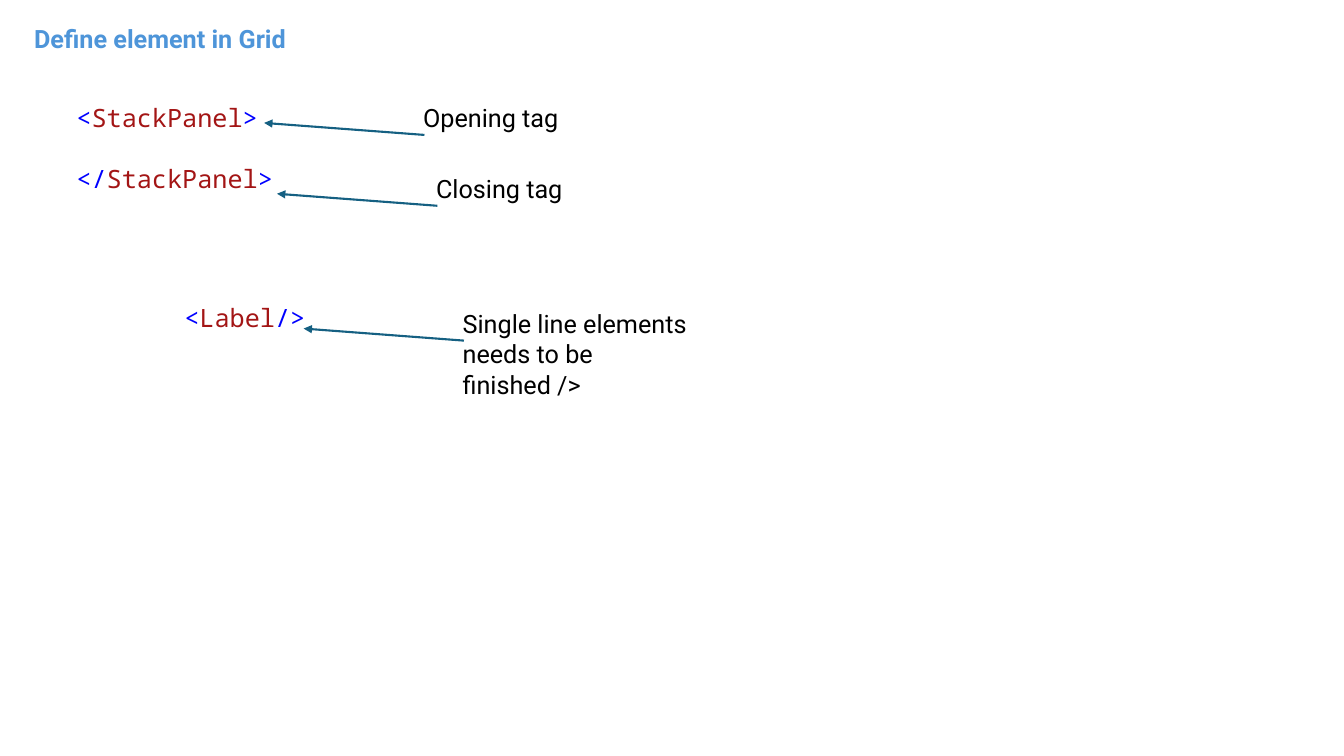
import pptx
import pptx.util
import pptx.dml.color
import pptx.enum.shapes
import pptx.enum.text
import pptx.oxml
import pptx.oxml.ns

Pt = pptx.util.Pt
BLUE, RED, BLACK = "0000FF", "A31515", "000000"
TITLE_COLOR, ARROW_COLOR = "4E95D9", "156082"
ARROW_RUN, ARROW_RISE = 114.5, 8.6


def color(value):
    return pptx.dml.color.RGBColor.from_string(value)


def add_text(page, left, top, width, height, lines, font="Roboto", bold=False, wrap=True, gap=0):
    box = page.shapes.add_textbox(Pt(left), Pt(top), Pt(width), Pt(height))
    frame = box.text_frame
    frame.word_wrap = wrap
    frame.auto_size = pptx.enum.text.MSO_AUTO_SIZE.SHAPE_TO_FIT_TEXT
    for index, line in enumerate(lines):
        para = frame.add_paragraph() if index else frame.paragraphs[0]
        para.space_before = Pt(gap if index else 0)
        for text, tint in line:
            span = para.add_run()
            span.text = text
            span.font.name = font
            span.font.size = Pt(18)
            span.font.bold = bold
            span.font.color.rgb = color(tint)


def add_code(page, left, top, height, tags):
    lines = [[(start, BLUE), (name, RED), (end, BLUE)] for start, name, end in tags]
    add_text(page, left, top, 479.5, height, lines, font="Noto Sans Mono", gap=21.8)


def add_arrow(page, left, top):
    arrow = page.shapes.add_connector(
        pptx.enum.shapes.MSO_CONNECTOR.STRAIGHT,
        Pt(left), Pt(top), Pt(left - ARROW_RUN), Pt(top - ARROW_RISE))
    arrow.line.color.rgb = color(ARROW_COLOR)
    arrow.line.width = Pt(1.5)
    head = pptx.oxml.parse_xml(
        f'<a:tailEnd {pptx.oxml.ns.nsdecls("a")} type="triangle"/>')
    arrow.line._get_or_add_ln().append(head)
    arrow._element.spPr.append(
        pptx.oxml.parse_xml(f'<a:effectLst {pptx.oxml.ns.nsdecls("a")}/>'))


def add_callout(page, left, top, height, text):
    add_arrow(page, left + 8, top + 26.6)
    add_text(page, left, top, 185, height, [[(text, BLACK)]])


def main():
    deck = pptx.Presentation()
    deck.slide_width, deck.slide_height = Pt(960), Pt(540)
    page = deck.slides.add_slide(deck.slide_layouts[6])

    add_text(page, 17.3, 13, 199.4, 29, [[("Define element in Grid", TITLE_COLOR)]],
             bold=True, wrap=False)
    add_code(page, 47.5, 69.8, 72.7, [("<", "StackPanel", ">"), ("</", "StackPanel", ">")])
    add_code(page, 124.6, 212.4, 29, [("<", "Label", "/>")])

    add_callout(page, 295.2, 69.8, 29, "Opening tag")
    add_callout(page, 304.4, 120.4, 29, "Closing tag")
    add_callout(page, 323.4, 216.7, 72.7, "Single line elements needs to be finished />")

    deck.save("out.pptx")


if __name__ == "__main__":
    main()
